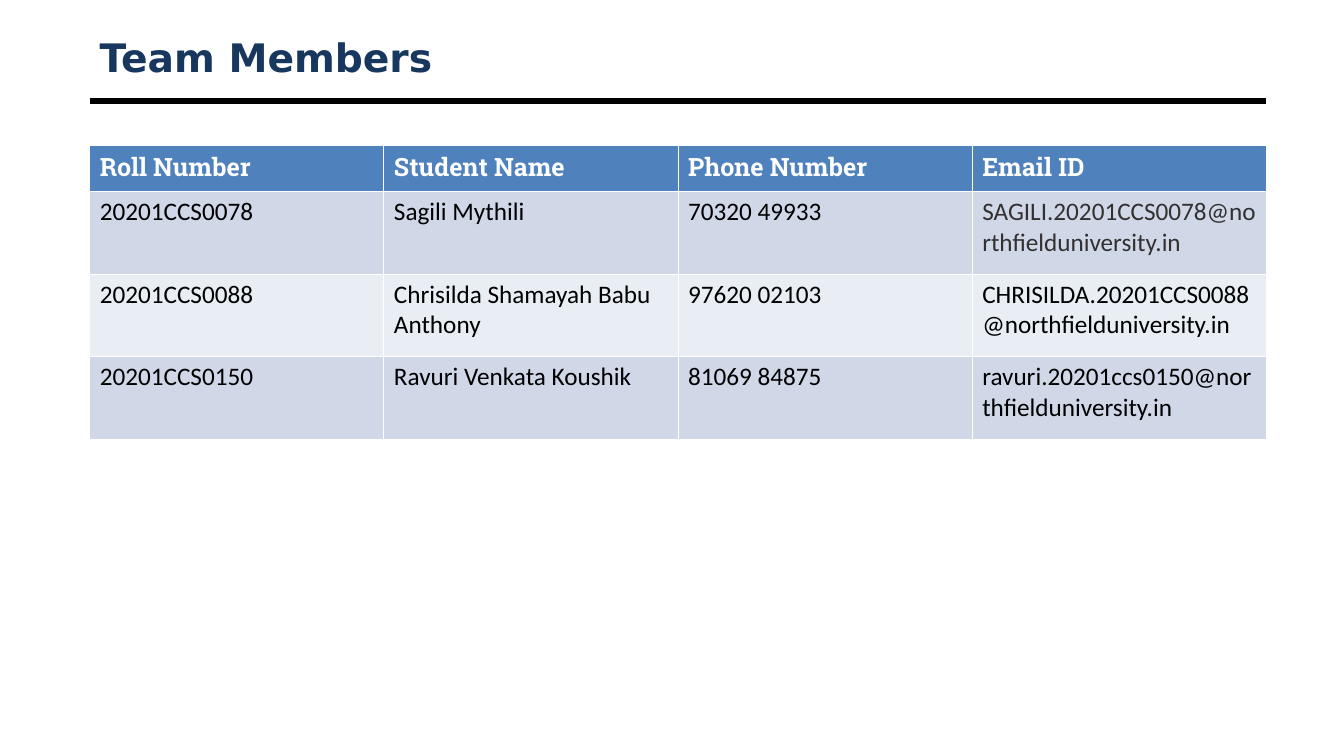
from lxml import etree
from pptx import Presentation
from pptx.dml.color import RGBColor
from pptx.enum import shapes, text
from pptx.oxml import ns
from pptx.util import Inches, Pt

NAVY = RGBColor(0x17, 0x37, 0x5E)
BLACK = RGBColor(0, 0, 0)
WHITE = RGBColor(0xFF, 0xFF, 0xFF)
GREY = RGBColor(0x32, 0x31, 0x30)
BLUE = RGBColor(0x4F, 0x81, 0xBD)
BANDS = (RGBColor(0xE9, 0xED, 0xF4), RGBColor(0xD0, 0xD8, 0xE8))

LEFT, WIDTH = 0.89, 11.67
HEADS = ("Roll Number", "Student Name", "Phone Number", "Email ID")
MEMBERS = (
    ("20201CCS0078", "Sagili Mythili", "70320 49933",
     "SAGILI.20201CCS0078@northfielduniversity.in"),
    ("20201CCS0088", "Chrisilda Shamayah Babu Anthony", "97620 02103",
     "CHRISILDA.20201CCS0088@northfielduniversity.in"),
    ("20201CCS0150", "Ravuri Venkata Koushik", "81069 84875",
     "ravuri.20201ccs0150@northfielduniversity.in"),
)


def write(frame, words, font="Calibri", size=18, color=BLACK, bold=False):
    frame.word_wrap = True
    run = frame.paragraphs[0].add_run()
    run.text = words
    run.font.name = font
    run.font.size = Pt(size)
    run.font.bold = bold
    run.font.color.rgb = color


def add_title(slide, left, top, width, height):
    """Place the heading in the box, with the rule 0.17 inch below it."""
    box = slide.shapes.add_textbox(
        Inches(left), Inches(top), Inches(width), Inches(height))
    box.text_frame.vertical_anchor = text.MSO_ANCHOR.MIDDLE
    write(box.text_frame, "Team Members", font="DejaVu Sans", size=28,
          color=NAVY, bold=True)
    level = Inches(top + height + 0.17)
    rule = slide.shapes.add_connector(
        shapes.MSO_CONNECTOR.STRAIGHT,
        Inches(left), level, Inches(left + width), level)
    rule.line.color.rgb = BLACK
    rule.line.width = Pt(4.5)
    etree.SubElement(rule._element.spPr, ns.qn("a:effectLst"))


def edge(cell, color=WHITE, width=0.84):
    """Draw all four borders of a cell."""
    props = cell._tc.get_or_add_tcPr()
    for spot, side in enumerate(("lnL", "lnR", "lnT", "lnB")):
        line = etree.Element(ns.qn(f"a:{side}"), w=str(Pt(width)))
        fill = etree.SubElement(line, ns.qn("a:solidFill"))
        etree.SubElement(fill, ns.qn("a:srgbClr"), val=str(color))
        props.insert(spot, line)


def add_members(slide, left, top, width, head=0.46, body=0.82):
    rows = (HEADS,) + MEMBERS
    table = slide.shapes.add_table(
        len(rows), len(HEADS), Inches(left), Inches(top), Inches(width),
        Inches(head + body * len(MEMBERS))).table
    for col in table.columns:
        col.width = Inches(width / len(HEADS))
    for r, row in enumerate(rows):
        table.rows[r].height = Inches(body if r else head)
        for c, words in enumerate(row):
            cell = table.cell(r, c)
            cell.fill.solid()
            cell.fill.fore_color.rgb = BANDS[r % 2] if r else BLUE
            edge(cell)
            if r == 0:
                write(cell.text_frame, words, font="Roboto Slab",
                      color=WHITE, bold=True)
            else:
                write(cell.text_frame, words,
                      color=GREY if (r, c) == (1, 3) else BLACK)


def main():
    deck = Presentation()
    deck.slide_width, deck.slide_height = Inches(13.33), Inches(7.5)
    slide = deck.slides.add_slide(deck.slide_layouts[6])
    add_title(slide, LEFT, 0.3, WIDTH, 0.53)
    add_members(slide, LEFT, 1.44, WIDTH)
    deck.save("out.pptx")


if __name__ == "__main__":
    main()
